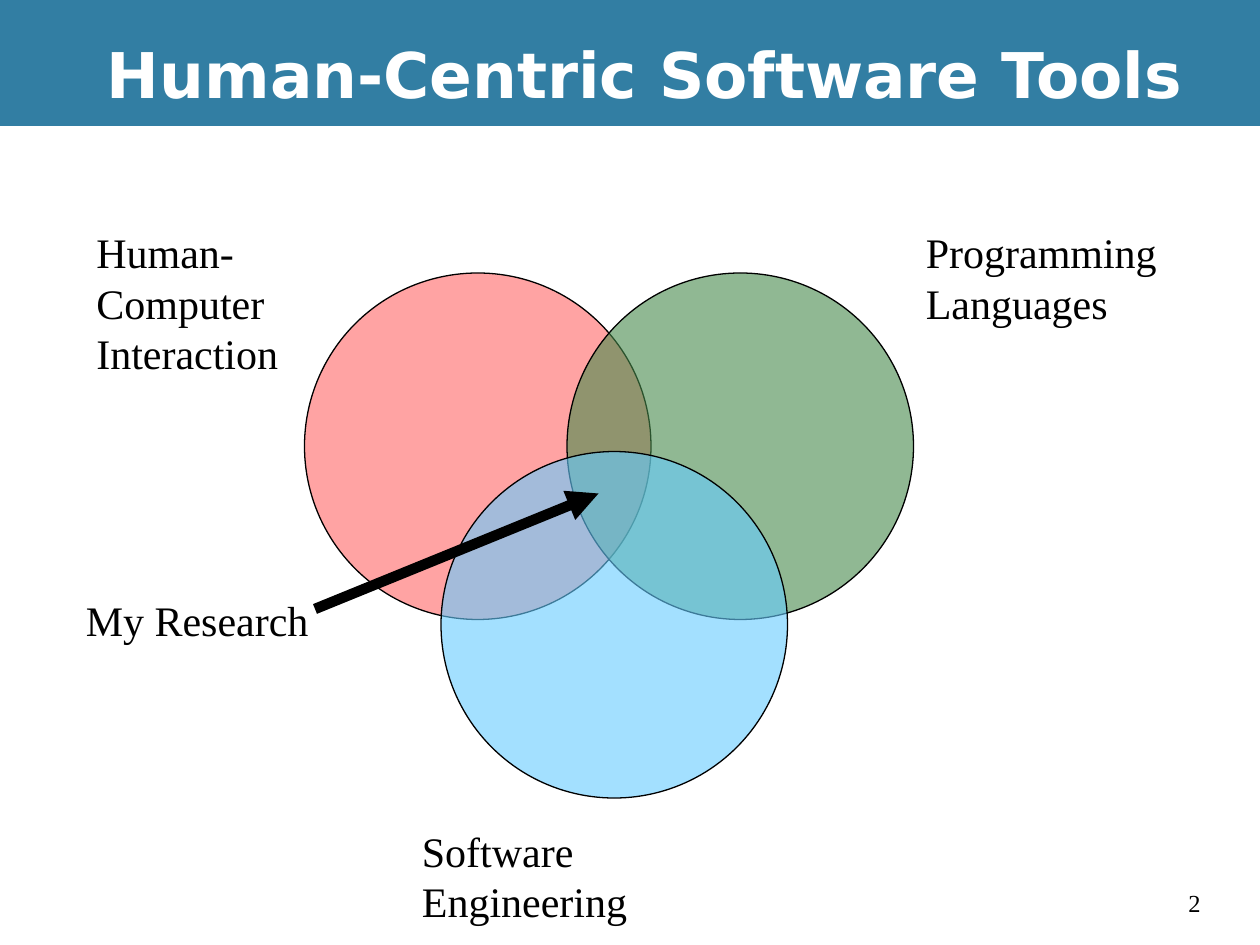
from lxml import etree
from pptx import Presentation
from pptx.dml.color import RGBColor
from pptx.enum.shapes import MSO_CONNECTOR, MSO_SHAPE
from pptx.enum.text import MSO_ANCHOR
from pptx.oxml.ns import qn
from pptx.util import Pt

OVAL, RECT = MSO_SHAPE.OVAL, MSO_SHAPE.RECTANGLE
LINE = MSO_CONNECTOR.STRAIGHT
TOP, MIDDLE = MSO_ANCHOR.TOP, MSO_ANCHOR.MIDDLE

THEME = {
    "white": "FFFFFF", "ink": "000000", "band": "327EA3",
    "red": "FF6666", "green": "468A4B", "blue": "66CCFF", "alpha": 60,
    "head": ("DejaVu Sans", 36), "label": ("Times New Roman", 24),
    "page": ("Times New Roman", 14),
}
WIDE, HIGH, BAND = 720, 540, 72
SIZE = 198
LEAD = 1.2

TITLE = "Human-Centric Software Tools"
FIELDS = [
    {"lines": ["Human-Computer", "Interaction"], "fill": "red",
     "disc": (174, 156), "at": (48, 126, 188.6)},
    {"lines": ["Programming", "Languages"], "fill": "green",
     "disc": (324, 156), "at": (522, 126, 146.2)},
    {"lines": ["Software Engineering"], "fill": "blue",
     "disc": (252, 258), "at": (234, 468, 223.9)},
]
FOCUS = {"lines": ["My Research"], "at": (42, 336, 141.8),
         "arrow": (180, 348, 342, 282)}
PAGE = "2"


def tint(name):
    return RGBColor.from_string(THEME[name])


def add_shape(shapes, kind, box, fill):
    shape = shapes.add_shape(kind, *map(Pt, box))
    shape.shadow.inherit = False
    shape.fill.solid()
    shape.fill.fore_color.rgb = tint(fill)
    shape.line.fill.background()
    return shape


def add_text(shapes, lines, box, style, color="ink", bold=False,
             wrap=True, anchor=TOP, lead=LEAD):
    face, size = THEME[style]
    frame = shapes.add_textbox(*map(Pt, box)).text_frame
    frame.word_wrap = wrap
    frame.vertical_anchor = anchor
    for i, line in enumerate(lines):
        para = frame.add_paragraph() if i else frame.paragraphs[0]
        if lead:
            para.line_spacing = Pt(size * lead)
        run = para.add_run()
        run.text = line
        font = run.font
        font.name, font.size, font.bold = face, Pt(size), bold
        font.color.rgb = tint(color)


def add_label(shapes, item):
    left, top, width = item["at"]
    high = len(item["lines"]) * THEME["label"][1] * LEAD + 7.2
    add_text(shapes, item["lines"], (left, top, width, high), "label", wrap=False)


def add_field(shapes, item):
    disc = add_shape(shapes, OVAL, (*item["disc"], SIZE, SIZE), item["fill"])
    disc.line.color.rgb = tint("ink")
    disc.line.width = Pt(0.75)
    color = disc.fill._xPr.find(qn("a:solidFill"))[0]
    etree.SubElement(color, qn("a:alpha"), val=str(THEME["alpha"] * 1000))
    add_label(shapes, item)


def add_arrow(shapes, ends):
    arrow = shapes.add_connector(LINE, *map(Pt, ends))
    arrow.line.color.rgb = tint("ink")
    arrow.line.width = Pt(6)
    etree.SubElement(arrow.line._get_or_add_ln(), qn("a:tailEnd"), type="triangle")
    etree.SubElement(arrow._element.spPr, qn("a:effectLst"))


def main():
    """Build the three-circle research slide."""
    deck = Presentation()
    deck.slide_width, deck.slide_height = Pt(WIDE), Pt(HIGH)
    shapes = deck.slides.add_slide(deck.slide_layouts[6]).shapes
    add_shape(shapes, RECT, (0, BAND, WIDE, HIGH - BAND), "white")
    add_shape(shapes, RECT, (0, 0, WIDE, BAND), "band")
    add_text(shapes, [PAGE], (672, 504, 36, 24), "page")
    add_text(shapes, [TITLE], (54, 6, WIDE - 54, BAND), "head", "white",
             bold=True, anchor=MIDDLE, lead=None)
    for item in FIELDS:
        add_field(shapes.add_group_shape().shapes, item)
    group = shapes.add_group_shape().shapes
    add_arrow(group, FOCUS["arrow"])
    add_label(group, FOCUS)
    deck.save("out.pptx")


if __name__ == "__main__":
    main()
